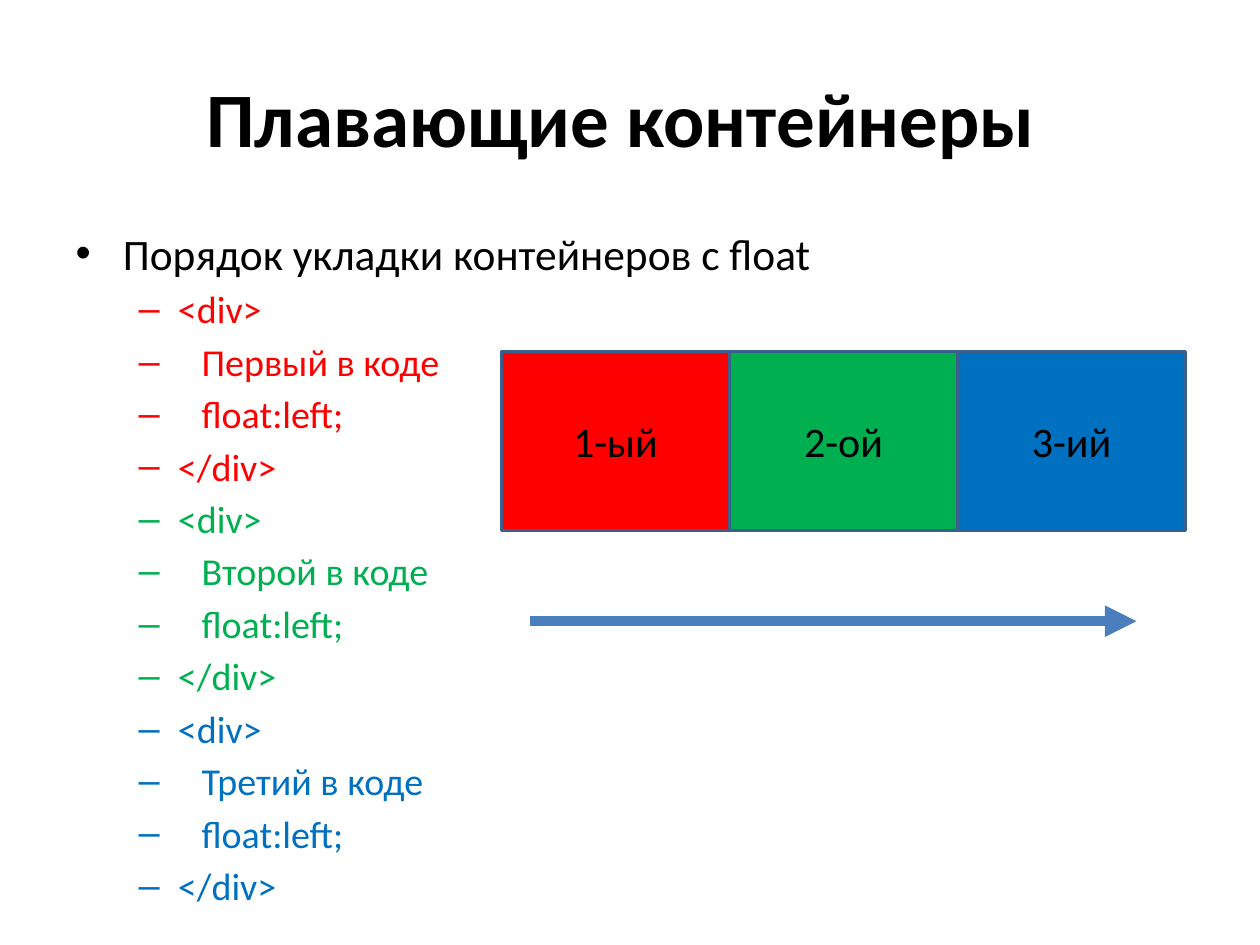
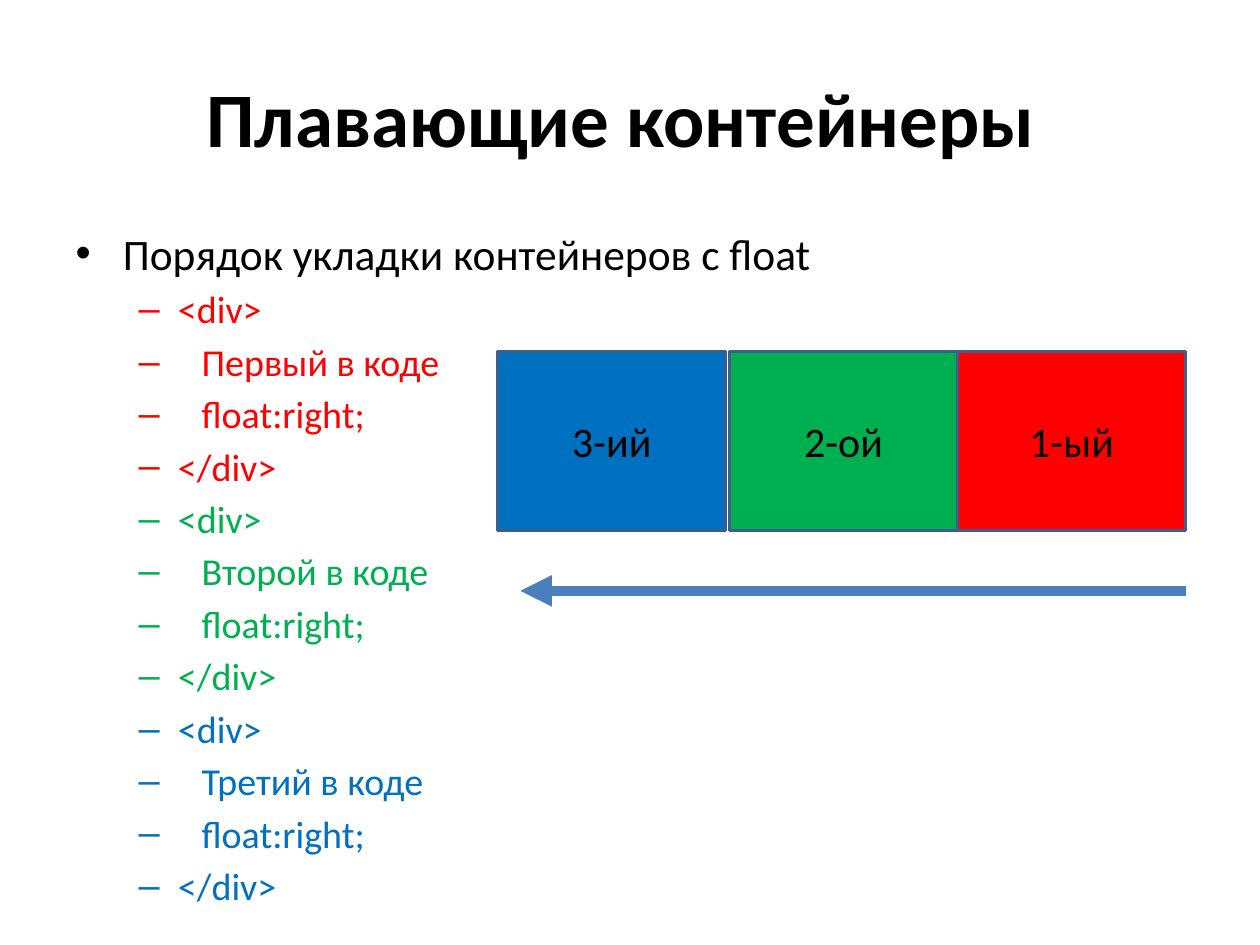
from dataclasses import dataclass
from lxml.etree import SubElement
from pptx import Presentation
from pptx.dml.color import RGBColor
from pptx.enum.shapes import MSO_CONNECTOR, MSO_SHAPE
from pptx.enum.text import MSO_ANCHOR, MSO_AUTO_SIZE, PP_ALIGN
from pptx.oxml.ns import qn
from pptx.util import Inches, Pt

COLUMN = Inches(0.1)
ROW = Inches(0.1)


@dataclass(frozen=True)
class Theme:
    font: str = "Calibri"
    text: str = "000000"
    outline: str = "3A5F8C"
    arrow: str = "4B7EBC"
    title_size: float = 44
    lead_size: float = 24.8
    code_size: float = 21.7
    label_size: float = 24
    space_before: float = 3.9
    outline_width: float = 2
    arrow_width: float = 6


@dataclass(frozen=True)
class Box:
    left: float
    top: float
    width: float
    height: float

    def place(self, shape):
        shape.left, shape.top, shape.width, shape.height = self.lengths()

    def lengths(self):
        return (round(self.left * COLUMN), round(self.top * ROW),
                round(self.width * COLUMN), round(self.height * ROW))


@dataclass(frozen=True)
class Container:
    ordinal: str
    label: str
    color: str


THEME = Theme()
TITLE = "Плавающие контейнеры "
LEAD = "Порядок укладки контейнеров с float"
TITLE_BOX = Box(5, 3, 90, 12.5)
BODY_BOX = Box(5, 17.5, 90, 49.1)
ROW_BOX = Box(39.8, 27.9, 54.3, 14.2)
CONTAINERS = (
    Container("Первый", "1-ый", "FF0000"),
    Container("Второй", "2-ой", "00B050"),
    Container("Третий", "3-ий", "0070C0"),
)


def add_run(paragraph, text, size, color=THEME.text, bold=False):
    run = paragraph.add_run()
    run.text = text
    run.font.name = THEME.font
    run.font.size = Pt(size)
    run.font.bold = bold
    run.font.color.rgb = RGBColor.from_string(color)


def add_title(slide, box):
    title = slide.shapes.title
    box.place(title)
    title.text_frame.auto_size = MSO_AUTO_SIZE.NONE
    title.text_frame.vertical_anchor = MSO_ANCHOR.MIDDLE
    paragraph = title.text_frame.paragraphs[0]
    paragraph.alignment = PP_ALIGN.CENTER
    add_run(paragraph, TITLE, THEME.title_size, bold=True)


def add_code_list(slide, box, side):
    body = slide.placeholders[1]
    box.place(body)
    frame = body.text_frame
    frame.auto_size = MSO_AUTO_SIZE.NONE
    lead = frame.paragraphs[0]
    lead.space_before = Pt(THEME.space_before)
    add_run(lead, LEAD, THEME.lead_size)
    for container in CONTAINERS:
        lines = ("<div>", f"\t{container.ordinal} в коде", f"\tfloat:{side};", "</div>")
        for line in lines:
            paragraph = frame.add_paragraph()
            paragraph.level = 1
            paragraph.space_before = Pt(THEME.space_before)
            paragraph._p.get_or_add_pPr().set("defTabSz", str(Inches(1)))
            add_run(paragraph, line, THEME.code_size, container.color)


def add_container(slide, box, container):
    rectangle = slide.shapes.add_shape(MSO_SHAPE.RECTANGLE, *box.lengths())
    rectangle.shadow.inherit = False
    rectangle.fill.solid()
    rectangle.fill.fore_color.rgb = RGBColor.from_string(container.color)
    rectangle.line.color.rgb = RGBColor.from_string(THEME.outline)
    rectangle.line.width = Pt(THEME.outline_width)
    rectangle.text_frame.vertical_anchor = MSO_ANCHOR.MIDDLE
    paragraph = rectangle.text_frame.paragraphs[0]
    paragraph.alignment = PP_ALIGN.CENTER
    add_run(paragraph, container.label, THEME.label_size)


def add_container_row(slide, box, side, last_gap):
    width = box.width / len(CONTAINERS)
    last = len(CONTAINERS) - 1
    for index, container in enumerate(CONTAINERS):
        slot = index if side == "left" else last - index
        gap = last_gap if index == last else 0
        cell = Box(box.left + slot * width - gap, box.top, width, box.height)
        add_container(slide, cell, container)


def add_arrow(slide, start, end, row):
    arrow = slide.shapes.add_connector(
        MSO_CONNECTOR.STRAIGHT, round(start * COLUMN), round(row * ROW),
        round(end * COLUMN), round(row * ROW))
    arrow.line.color.rgb = RGBColor.from_string(THEME.arrow)
    arrow.line.width = Pt(THEME.arrow_width)
    SubElement(arrow.line._get_or_add_ln(), qn("a:tailEnd"), type="triangle")
    SubElement(arrow._element.spPr, qn("a:effectLst"))


def add_float_slide(presentation, side, arrow, last_gap=0):
    slide = presentation.slides.add_slide(presentation.slide_layouts[1])
    add_title(slide, TITLE_BOX)
    add_code_list(slide, BODY_BOX, side)
    add_container_row(slide, ROW_BOX, side, last_gap)
    add_arrow(slide, *arrow)


def main():
    presentation = Presentation()
    presentation.slide_width = 100 * COLUMN
    presentation.slide_height = 75 * ROW
    add_float_slide(presentation, "left", arrow=(42.1, 90.2, 49.3))
    add_float_slide(presentation, "right", arrow=(94.1, 41.3, 46.9), last_gap=0.3)
    presentation.save("out.pptx")


if __name__ == "__main__":
    main()
